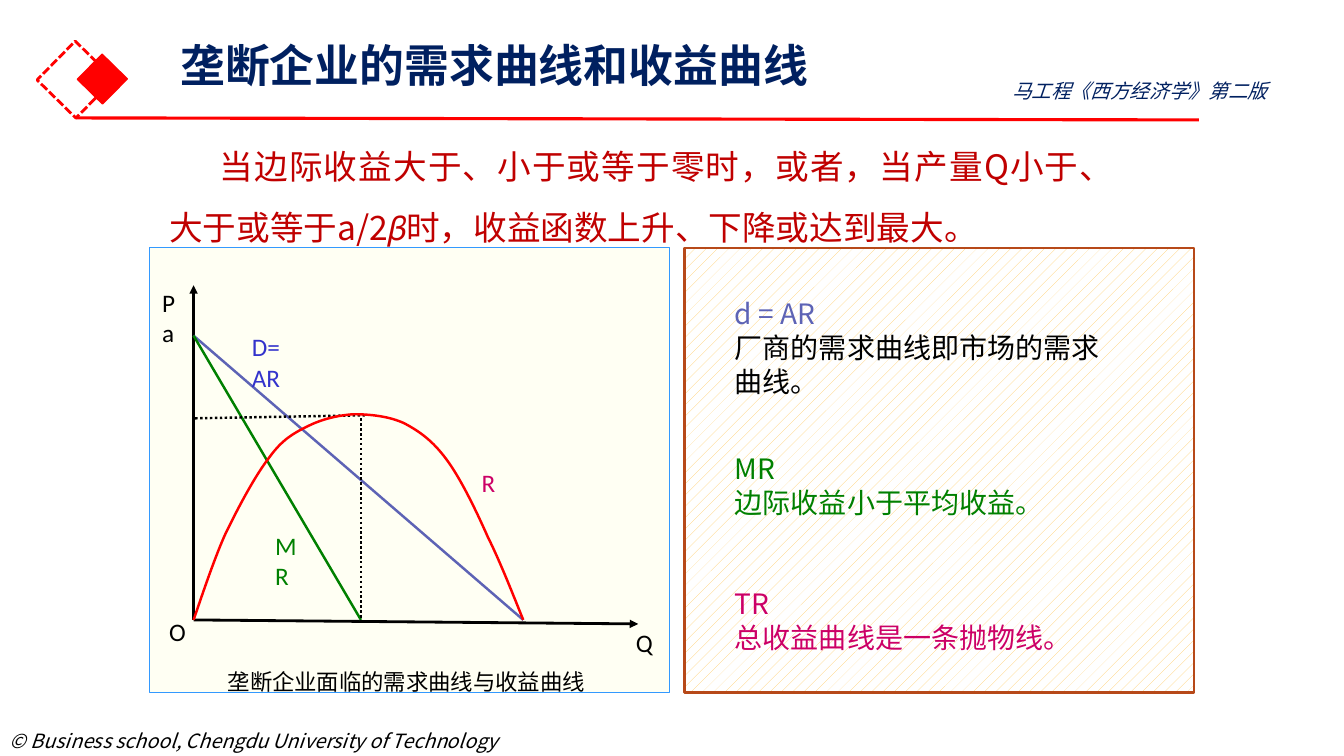
from dataclasses import dataclass
from lxml import etree
from pptx import Presentation
from pptx.dml.color import RGBColor
from pptx.enum.dml import MSO_LINE, MSO_PATTERN
from pptx.enum.shapes import MSO_CONNECTOR, MSO_SHAPE
from pptx.enum.text import MSO_ANCHOR, PP_ALIGN
from pptx.oxml.ns import qn
from pptx.util import Pt

PX = 9144  # EMU per px, 100 px to the inch


@dataclass(frozen=True)
class Theme:
    cjk: str = "Noto Sans CJK SC"
    latin: str = "Calibri"
    black: str = "000000"
    white: str = "FFFFFF"
    navy: str = "002060"
    red: str = "FF0000"
    crimson: str = "C00000"
    blue: str = "3333CC"
    violet: str = "5D63B5"
    green: str = "008000"
    pink: str = "CC0066"
    cream: str = "FFFFF3"
    sky: str = "3399FF"
    rust: str = "B74919"
    sand: str = "FFCC66"
    title: int = 32
    body: int = 24
    note: int = 20
    label: int = 18
    caption: int = 16
    small: int = 14


T = Theme()

# Content: boxes are left, top, width, height in px
FOOTER = "© Business school, Chengdu University of Technology"
TITLE = "垄断企业的需求曲线和收益曲线"
BOOK = "马工程《西方经济学》第二版"
STATEMENT = "当边际收益大于、小于或等于零时，或者，当产量Q小于、大于或等于a/2𝛽时，收益函数上升、下降或达到最大。"
CAPTION = "垄断企业面临的需求曲线与收益曲线"
LABELS = [
    (("P", "a"), 151, 294, 33, T.black),
    (("Q",), 621, 616, 33, T.black),
    (("O",), 158, 605, 33, T.black),
    (("D=AR",), 240, 338, 50, T.blue),
    (("MR",), 263, 535, 50, T.green),
    (("R",), 468, 458, 50, T.pink),
]
NOTES = [
    ("d = AR", "厂商的需求曲线即市场的需求曲线。", 303, 83, T.violet, T.black),
    ("MR", "边际收益小于平均收益。", 444, 75, T.green, T.green),
    ("TR", "总收益曲线是一条抛物线。", 578, 75, T.pink, T.pink),
]
ORIGIN, CHOKE, DEMAND_END, MR_END = (192, 615), (192, 333), (519, 615), (358, 615)
LINES = [  # from, to, colour, width, dash, arrow
    (ORIGIN, (192, 283), T.black, 2, None, True),
    (ORIGIN, (633, 619), T.black, 2, None, True),
    (CHOKE, DEMAND_END, T.violet, 1.75, None, False),
    (CHOKE, MR_END, T.green, 1.75, None, False),
    ((358, 415), (358, 618), T.black, 1.75, MSO_LINE.ROUND_DOT, False),
    ((362, 412), (192, 415), T.black, 1.75, MSO_LINE.ROUND_DOT, False),
]
REVENUE = [  # two control points and an end point per Bezier piece
    (197, 601), (211, 558), (223, 531), (236, 504), (253, 472), (267, 454),
    (280, 436), (291, 430), (305, 423), (319, 416), (335, 412), (351, 411),
    (367, 411), (386, 413), (401, 420), (416, 428), (429, 437), (443, 456),
    (457, 475), (472, 506), (484, 533), (497, 559), (512, 598), DEMAND_END,
]

prs = Presentation()
prs.slide_width, prs.slide_height = 1333 * PX, 750 * PX
s = prs.slides.add_slide(prs.slide_layouts[6])


def rgb(color):
    return RGBColor.from_string(color)


def set_line(line, color, width, dash=None):
    line.color.rgb = rgb(color)
    line.width = Pt(width)
    if dash:
        line.dash_style = dash


def add_rect(box, line, width, fill=None, dash=None, angle=0):
    sp = s.shapes.add_shape(MSO_SHAPE.RECTANGLE, *(v * PX for v in box))
    sp.shadow.inherit = False
    sp.rotation = angle
    if fill:
        sp.fill.solid()
        sp.fill.fore_color.rgb = rgb(fill)
    else:
        sp.fill.background()
    set_line(sp.line, line, width, dash)
    return sp


def add_line(start, end, color, width, dash=None, arrow=False):
    c = s.shapes.add_connector(MSO_CONNECTOR.STRAIGHT, *(v * PX for v in (*start, *end)))
    set_line(c.line, color, width, dash)
    if arrow:
        etree.SubElement(c.line._get_or_add_ln(), qn("a:tailEnd"), type="triangle")
    etree.SubElement(c._element.spPr, qn("a:effectLst"))


def add_text(box, lines, size, colors, font=T.cjk, wrap=False, middle=False,
             bold=False, italic=False):
    tf = s.shapes.add_textbox(*(v * PX for v in box)).text_frame
    tf.word_wrap = wrap
    tf.vertical_anchor = MSO_ANCHOR.MIDDLE if middle else MSO_ANCHOR.TOP
    for i, (text, color) in enumerate(zip(lines, colors)):
        p = tf.add_paragraph() if i else tf.paragraphs[0]
        p.text = text
        p.font.name, p.font.size = font, Pt(size)
        p.font.bold, p.font.italic = bold, italic
        p.font.color.rgb = rgb(color)
        for r in p.runs:
            etree.SubElement(r._r.get_or_add_rPr(), qn("a:ea"), typeface=T.cjk)
    return tf


# Footer and panels
add_text((0, 718, 531, 34), [FOOTER], T.small, [T.black], italic=True)
add_rect((148, 246, 516, 441), T.sky, 0.75, T.cream)
fill = add_rect((679, 246, 505, 441), T.rust, 1.75).fill
fill.patterned()
fill.pattern = MSO_PATTERN.PERCENT_10
fill.fore_color.rgb, fill.back_color.rgb = rgb(T.sand), rgb(T.white)

# Heading with diamonds and rule
add_rect((48, 52, 54, 54), T.red, 2, dash=MSO_LINE.SQUARE_DOT, angle=314.5)
add_rect((84, 61, 35, 35), T.red, 1, T.red, angle=314.5)
add_line((75, 117), (1189, 119), T.red, 2.25)
tf = add_text((169, 38, 1150, 58), [TITLE], T.title, [T.navy], wrap=True, middle=True, bold=True)
tf.margin_top = tf.margin_bottom = 0
tf.paragraphs[0].line_spacing = 0.9
add_text((994, 73, 324, 34), [BOOK], T.small, [T.navy], wrap=True, italic=True)

# Statement
p = add_text((158, 120, 956, 92), [STATEMENT], T.body, [T.crimson], wrap=True).paragraphs[0]
p.alignment, p.line_spacing = PP_ALIGN.JUSTIFY, 1.5
p._p.get_or_add_pPr().set("indent", str(50 * PX))

# Chart lines and revenue curve
for line in LINES:
    add_line(*line)
builder = s.shapes.build_freeform(*ORIGIN, scale=PX)
builder.add_line_segments(REVENUE, close=False)
curve = builder.convert_to_shape()
curve.shadow.inherit = False
curve.fill.background()
set_line(curve.line, T.red, 1.75)
steps = list(curve._element.iter(qn("a:lnTo")))
for i in range(0, len(steps), 3):
    first, *others = steps[i:i + 3]
    first.tag = qn("a:cubicBezTo")
    for step in others:
        first.append(step[0])
        step.getparent().remove(step)

# Chart labels and caption
for lines, x, y, w, color in LABELS:
    add_text((x, y, w, 42), lines, T.label, [color] * len(lines), T.latin, middle=True)
add_text((216, 658, 379, 37), [CAPTION], T.caption, [T.black])

# Notes on each curve
for head, text, y, h, *colors in NOTES:
    add_text((719, y, 383, h), (head, text), T.note, colors, middle=True)

prs.save("out.pptx")
